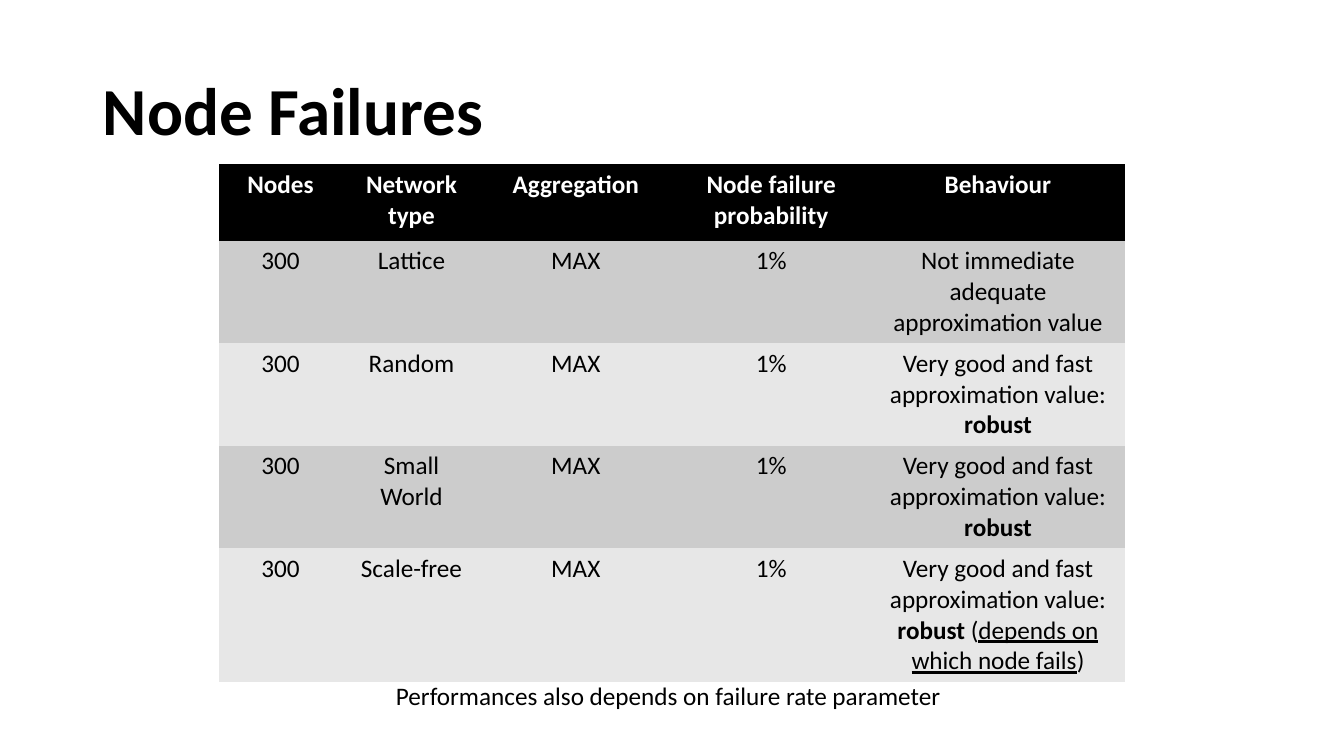
from dataclasses import dataclass

from pptx import Presentation
from pptx.dml.color import RGBColor
from pptx.enum.text import MSO_ANCHOR, MSO_AUTO_SIZE, PP_ALIGN
from pptx.util import Cm, Pt

BLACK = RGBColor(0x00, 0x00, 0x00)
WHITE = RGBColor(0xFF, 0xFF, 0xFF)
DARK_BAND = RGBColor(0xCC, 0xCC, 0xCC)
LIGHT_BAND = RGBColor(0xE7, 0xE7, 0xE7)
FONT = "Calibri"
PLAIN_TABLE_STYLE = "{2D5ABB26-0587-4C30-8999-92F81FD0307C}"

HEADERS = ("Nodes", "Network type", "Aggregation", "Node failure probability", "Behaviour")
COLUMN_WIDTHS = (3.12, 3.48, 4.8, 5.05, 6.38)
ROW_HEIGHTS = (1.93, 2.41, 2.39, 2.59, 3)


@dataclass(frozen=True)
class Span:
    text: str
    bold: bool = False
    underline: bool = False


@dataclass(frozen=True)
class Experiment:
    network: str
    behaviour: tuple[Span, ...]
    nodes: str = "300"
    aggregation: str = "MAX"
    failure: str = "1%"

    def cells(self) -> list:
        return [self.nodes, self.network, self.aggregation, self.failure, self.behaviour]


FAST = Span("Very good and fast approximation value: ")
EXPERIMENTS = (
    Experiment("Lattice", (Span("Not immediate adequate approximation value"),)),
    Experiment("Random", (FAST, Span("robust", bold=True))),
    Experiment("Small World", (FAST, Span("robust", bold=True))),
    Experiment("Scale-free", (
        FAST, Span("robust ", bold=True), Span("("),
        Span("depends on which node fails", underline=True), Span(")"),
    )),
)


def write(tf, text: str | tuple[Span, ...], *, size: float = 18, color: RGBColor = BLACK,
          bold: bool = False, align: PP_ALIGN = PP_ALIGN.LEFT,
          line_spacing: float | None = None) -> None:
    p = tf.paragraphs[0]
    p.alignment = align
    p.line_spacing = line_spacing
    spans = (Span(text, bold),) if isinstance(text, str) else text
    for span in spans:
        r = p.add_run()
        r.text = span.text
        r.font.name = FONT
        r.font.size = Pt(size)
        r.font.color.rgb = color
        r.font.bold = span.bold
        r.font.underline = span.underline


def add_title(s) -> None:
    title = s.shapes.title
    title.left, title.top, title.width, title.height = Cm(2.34), Cm(1.02), Cm(29.21), Cm(3.68)
    tf = title.text_frame
    tf.auto_size = MSO_AUTO_SIZE.NONE
    tf.vertical_anchor = MSO_ANCHOR.MIDDLE
    write(tf, "Node Failures", size=48, bold=True, line_spacing=0.9)


def add_results(s) -> None:
    frame = s.shapes.add_table(len(ROW_HEIGHTS), len(COLUMN_WIDTHS), Cm(5.51), Cm(4.14),
                               Cm(sum(COLUMN_WIDTHS)), Cm(sum(ROW_HEIGHTS)))
    table = frame.table
    # A style without grid lines keeps the cells borderless
    table._tbl.tblPr.find("{*}tableStyleId").text = PLAIN_TABLE_STYLE
    for column, width in zip(table.columns, COLUMN_WIDTHS):
        column.width = Cm(width)
    for row, height in zip(table.rows, ROW_HEIGHTS):
        row.height = Cm(height)

    rows = [HEADERS] + [experiment.cells() for experiment in EXPERIMENTS]
    for i, values in enumerate(rows):
        header = i == 0
        fill = BLACK if header else (DARK_BAND if i % 2 else LIGHT_BAND)
        for j, value in enumerate(values):
            cell = table.cell(i, j)
            cell.fill.solid()
            cell.fill.fore_color.rgb = fill
            write(cell.text_frame, value, color=WHITE if header else BLACK,
                  bold=header, align=PP_ALIGN.CENTER)


def add_remark(s) -> None:
    tf = s.shapes.add_textbox(Cm(9.73), Cm(17.02), Cm(14.4), Cm(1.02)).text_frame
    tf.word_wrap = False
    tf.auto_size = MSO_AUTO_SIZE.SHAPE_TO_FIT_TEXT
    write(tf, "Performances also depends on failure rate parameter")


def main() -> None:
    prs = Presentation()
    prs.slide_width, prs.slide_height = Cm(33.87), Cm(19.05)
    s = prs.slides.add_slide(prs.slide_layouts[5])
    add_title(s)
    add_results(s)
    add_remark(s)
    prs.save("out.pptx")


if __name__ == "__main__":
    main()
